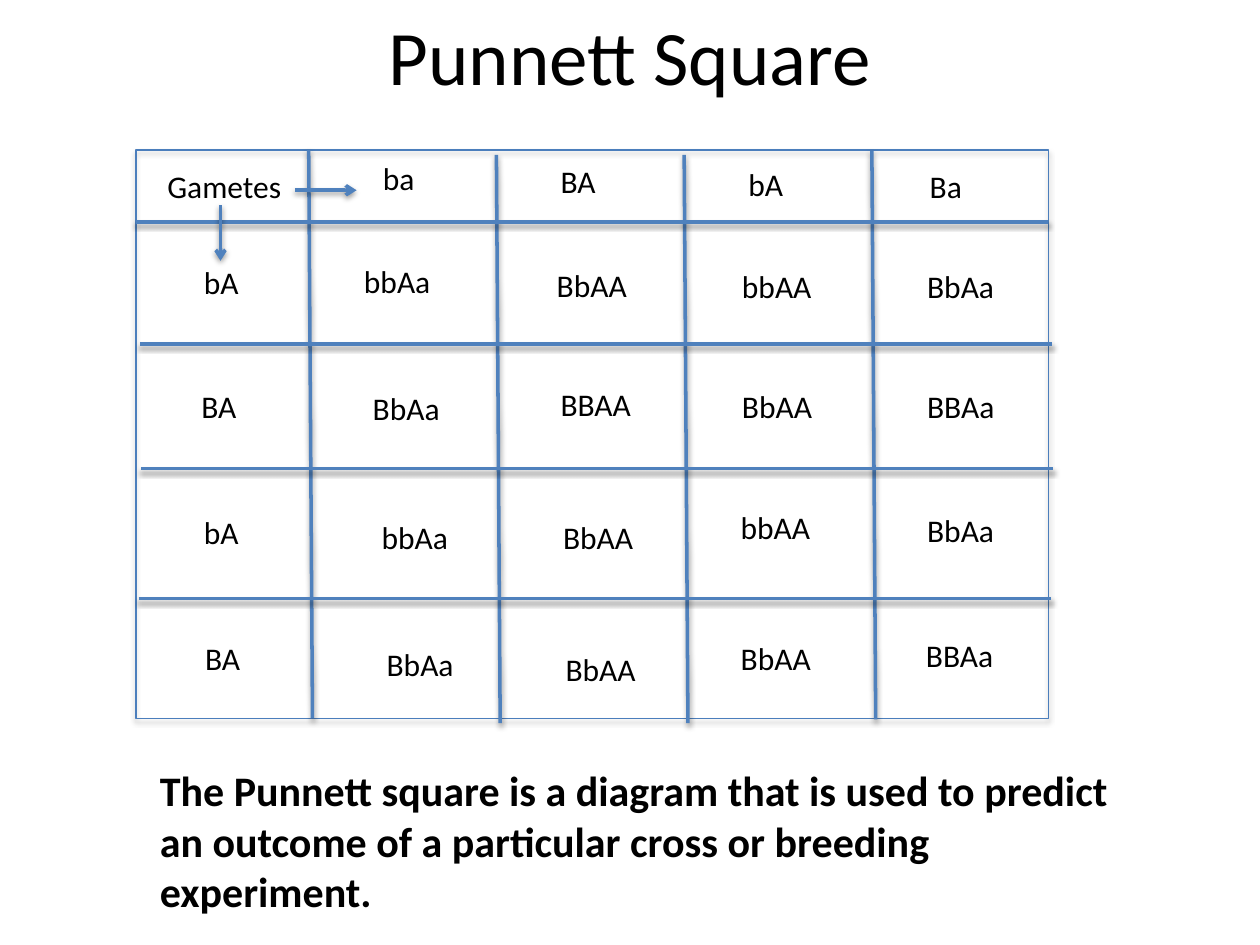
from typing import NamedTuple

from lxml.etree import SubElement
from pptx import Presentation
from pptx.dml.color import RGBColor
from pptx.enum.shapes import MSO_CONNECTOR as Connector, MSO_SHAPE as Shape
from pptx.enum.text import MSO_ANCHOR as Anchor, MSO_AUTO_SIZE as AutoSize, PP_ALIGN as Align
from pptx.oxml.ns import qn
from pptx.util import Inches, Pt

COLORS = {"text": "000000", "border": "4B7EBC", "rule": "4F81BD", "shadow": "000000"}
FONT = "Calibri"
GRID_LEFT, GRID_TOP, GRID_WIDTH, GRID_HEIGHT = 1.08, 1.19, 7.24, 4.51
COLUMN_LEAN = 0.03
LABEL_HEIGHT = 0.4
LABEL_WIDTHS = {2: 0.49, 4: 0.78}


class Label(NamedTuple):
    text: str
    left: float
    top: float


class Rule(NamedTuple):
    x1: float
    y1: float
    x2: float
    y2: float
    arrow: bool = False


COLUMN_RULES = [
    Rule(x, y, x + COLUMN_LEAN, y + GRID_HEIGHT)
    for x, y in [(2.45, 1.19), (3.94, 1.23), (5.43, 1.23), (6.92, 1.2)]
]
ROW_RULES = [
    Rule(x, y, x + GRID_WIDTH, y)
    for x, y in [(1.08, 1.76), (1.11, 2.73), (1.12, 3.72), (1.1, 4.75)]
]
ARROWS = [Rule(2.34, 1.51, 2.83, 1.51, True), Rule(1.75, 1.63, 1.75, 2.07, True)]

LABEL_ROWS = [
    [Label("ba", 2.94, 1.21), Label("BA", 4.35, 1.24),
     Label("bA", 5.84, 1.26), Label("Ba", 7.28, 1.28)],
    [Label("bA", 1.52, 2.04), Label("bbAa", 2.79, 2.03), Label("BbAA", 4.32, 2.06),
     Label("bbAA", 5.79, 2.07), Label("BbAa", 7.26, 2.07)],
    [Label("BA", 1.5, 3.02), Label("BbAa", 2.86, 3.04), Label("BBAA", 4.35, 3.01),
     Label("BbAA", 5.79, 3.02), Label("BBAa", 7.26, 3.02)],
    [Label("bA", 1.52, 4.02), Label("bbAa", 2.93, 4.06), Label("BbAA", 4.37, 4.06),
     Label("bbAA", 5.78, 3.98), Label("BbAa", 7.26, 4.01)],
    [Label("BA", 1.53, 5.02), Label("BbAa", 2.97, 5.07), Label("BbAA", 4.39, 5.11),
     Label("BbAA", 5.78, 5.02), Label("BBAa", 7.25, 5)],
]


def rgb(name: str) -> RGBColor:
    return RGBColor.from_string(COLORS[name])


def add_shadow(shape, opacity: int, distance: float) -> None:
    """Cast a soft shadow straight down; call once the line is set."""
    effects = SubElement(shape._element.spPr, qn("a:effectLst"))
    shadow = SubElement(effects, qn("a:outerShdw"), blurRad=str(Pt(3.1)),
                        dist=str(Pt(distance)), dir="5400000", rotWithShape="0")
    color = SubElement(shadow, qn("a:srgbClr"), val=COLORS["shadow"])
    SubElement(color, qn("a:alpha"), val=str(opacity * 1000))


def format_text(frame, size: int, bold: bool = False) -> None:
    for para in frame.paragraphs:
        for span in para.runs:
            span.font.name = FONT
            span.font.size = Pt(size)
            span.font.bold = bold
            span.font.color.rgb = rgb("text")


def add_text(shapes, label: Label, width: float, height: float = LABEL_HEIGHT,
             size: int = 18, bold: bool = False, wrap: bool = False) -> None:
    box = shapes.add_textbox(Inches(label.left), Inches(label.top),
                             Inches(width), Inches(height))
    frame = box.text_frame
    frame.word_wrap = wrap
    frame.auto_size = AutoSize.SHAPE_TO_FIT_TEXT
    frame.text = label.text
    format_text(frame, size, bold)


def add_rule(shapes, rule: Rule) -> None:
    connector = shapes.add_connector(Connector.STRAIGHT, Inches(rule.x1), Inches(rule.y1),
                                     Inches(rule.x2), Inches(rule.y2))
    connector.line.color.rgb = rgb("rule")
    connector.line.width = Pt(2)
    if rule.arrow:
        SubElement(connector.line._get_or_add_ln(), qn("a:tailEnd"), type="arrow")
    add_shadow(connector, 38, 1.6)


def add_border(shapes) -> None:
    border = shapes.add_shape(Shape.RECTANGLE, Inches(GRID_LEFT), Inches(GRID_TOP),
                              Inches(GRID_WIDTH), Inches(GRID_HEIGHT))
    border.fill.background()
    border.line.color.rgb = rgb("border")
    border.line.width = Pt(0.75)
    add_shadow(border, 35, 1.8)


def add_title(page) -> None:
    title = page.shapes.title
    title.left, title.top = Inches(0.5), Inches(-0.19)
    title.width, title.height = Inches(9), Inches(1.25)
    frame = title.text_frame
    frame.text = "Punnett Square"
    frame.vertical_anchor = Anchor.MIDDLE
    frame.paragraphs[0].alignment = Align.CENTER
    format_text(frame, 44)


def main() -> None:
    deck = Presentation()
    deck.slide_width, deck.slide_height = Inches(10), Inches(7.5)
    page = deck.slides.add_slide(deck.slide_layouts[5])
    add_title(page)

    square = page.shapes.add_group_shape().shapes
    add_border(square)
    for rule in COLUMN_RULES + ROW_RULES + ARROWS:
        add_rule(square, rule)
    add_text(square, Label("Gametes", 1.23, 1.28), 1.1, wrap=True)
    for row in LABEL_ROWS:
        for label in row:
            add_text(square, label, LABEL_WIDTHS[len(label.text)])

    definition = Label("The Punnett square is a diagram that is used to predict an outcome "
                       "of a particular cross or breeding experiment.", 1.17, 6.02)
    add_text(page.shapes, definition, 7.75, 1.31, size=24, bold=True, wrap=True)
    deck.save("out.pptx")


if __name__ == "__main__":
    main()
